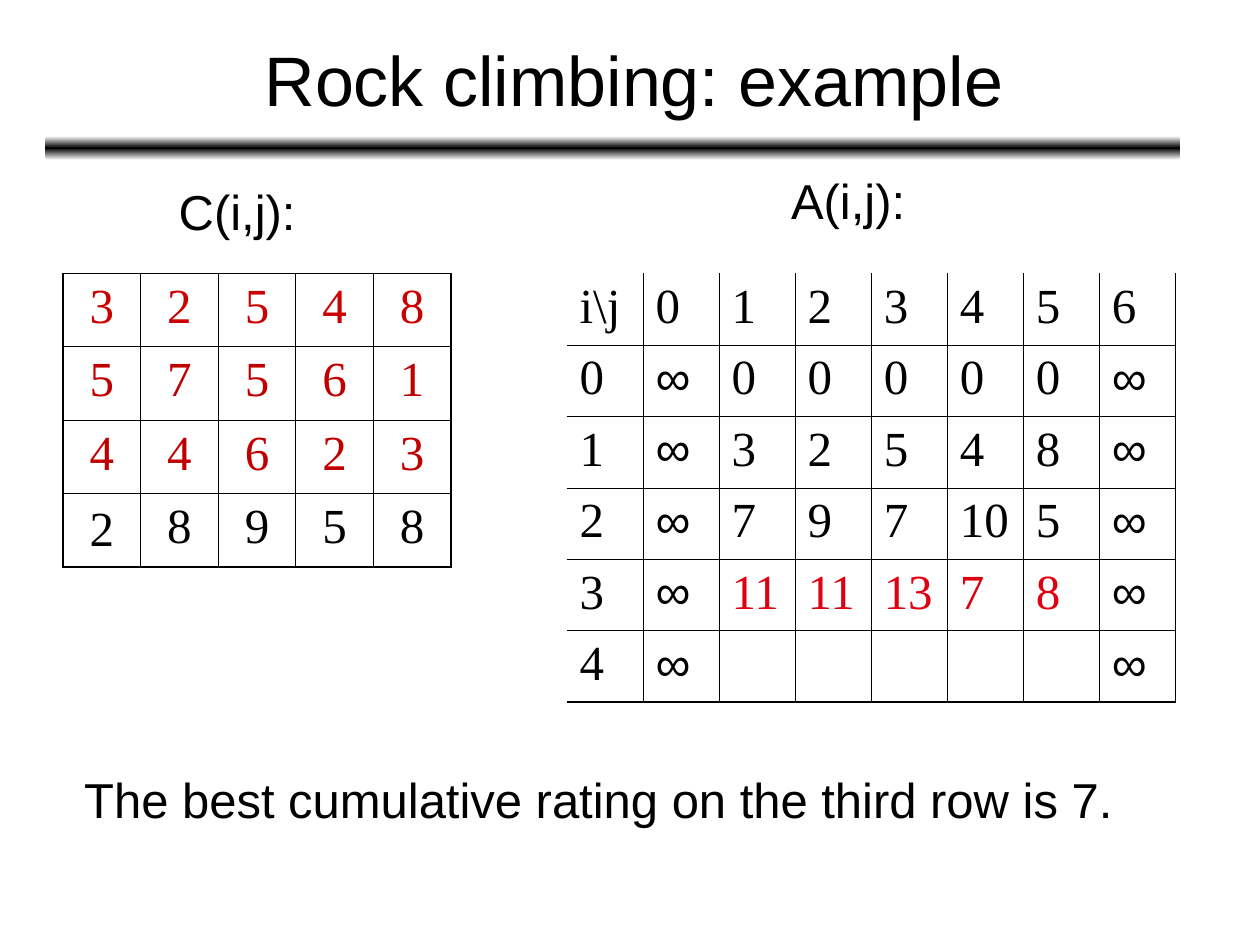
from lxml import etree
from pptx import Presentation
from pptx.dml.color import RGBColor
from pptx.enum import shapes, text
from pptx.oxml import ns
from pptx.util import Inches, Pt

BLACK = RGBColor(0x00, 0x00, 0x00)
WHITE = RGBColor(0xFF, 0xFF, 0xFF)
FIRST_ROW_RED = RGBColor(0xCC, 0x00, 0x00)
DARK_RED = RGBColor(0xC0, 0x00, 0x00)
BRIGHT_RED = RGBColor(0xDD, 0x01, 0x11)
SANS, SERIF = "Arial", "Times New Roman"
THIN, THICK = Pt(0.45), Pt(1.08)

TITLE = "Rock climbing: example"
LABELS = [  # wording, left, top, width
    ("C(i,j):", 1.32, 1.44, 1.15),
    ("A(i,j):", 6.18, 1.36, 1.15),
    ("The best cumulative rating on the third row is 7.", 0.57, 6.11, 8.38),
]
COSTS = [
    ["3", "2", "5", "4", "8"],
    ["5", "7", "5", "6", "1"],
    ["4", "4", "6", "2", "3"],
    ["2", "8", "9", "5", "8"],
]
COST_COLORS = [FIRST_ROW_RED, DARK_RED, DARK_RED, BLACK]
RATINGS = [
    ["i\\j", "0", "1", "2", "3", "4", "5", "6"],
    ["0", "∞", "0", "0", "0", "0", "0", "∞"],
    ["1", "∞", "3", "2", "5", "4", "8", "∞"],
    ["2", "∞", "7", "9", "7", "10", "5", "∞"],
    ["3", "∞", "11", "11", "13", "7", "8", "∞"],
    ["4", "∞", "", "", "", "", "", "∞"],
]
NEWEST_ROW = 4


def add_run(paragraph, wording, font_name, size, color=BLACK):
    run = paragraph.add_run()
    run.text = wording
    run.font.name = font_name
    run.font.size = Pt(size)
    run.font.color.rgb = color


def add_child(parent, tag, **attributes):
    return etree.SubElement(parent, ns.qn(tag), attributes)


def set_borders(cell, widths):
    """Draw the left, right, top and bottom borders; a width of 0 means none."""
    properties = cell._tc.get_or_add_tcPr()
    for side, width in zip("LRTB", widths):
        line = add_child(properties, f"a:ln{side}", w=str(int(width)))
        if width:
            fill = add_child(line, "a:solidFill")
            add_child(fill, "a:srgbClr", val=str(BLACK))
        else:
            add_child(line, "a:noFill")


def add_grid(slide, rows, box, alignment, left_top_width, color_of):
    """Add a ruled table whose left and top outer edges share one width."""
    row_count, column_count = len(rows), len(rows[0])
    left, top, width, height = (Inches(value) for value in box)
    table = slide.shapes.add_table(row_count, column_count, left, top, width, height).table
    table.first_row = table.horz_banding = False
    for i, row in enumerate(rows):
        for j, wording in enumerate(row):
            cell = table.cell(i, j)
            set_borders(cell, (
                left_top_width if j == 0 else THIN,
                THICK if j == column_count - 1 else THIN,
                left_top_width if i == 0 else THIN,
                THICK if i == row_count - 1 else THIN,
            ))
            cell.fill.background()
            if wording:
                paragraph = cell.text_frame.paragraphs[0]
                paragraph.alignment = alignment
                paragraph.space_before = Pt(7)
                font_name = SANS if wording == "∞" else SERIF
                add_run(paragraph, wording, font_name, 28, color_of(i, j))
    return table


def add_title_rule(slide):
    rule = slide.shapes.add_shape(
        shapes.MSO_SHAPE.ROUNDED_RECTANGLE,
        Inches(0.36), Inches(1.08), Inches(9.01), Inches(0.19))
    rule.shadow.inherit = False
    rule.line.fill.background()
    rule.fill.gradient()
    rule.fill.gradient_angle = 90
    stops = rule._element.spPr.find(".//" + ns.qn("a:gsLst"))
    for stop in list(stops):
        stops.remove(stop)
    for position, color in ((0, WHITE), (50, BLACK), (100, WHITE)):
        stop = add_child(stops, "a:gs", pos=str(position * 1000))
        add_child(stop, "a:srgbClr", val=str(color))
    slide.shapes._spTree.insert(2, rule._element)  # behind the title


def add_title(slide):
    title = slide.shapes.title
    title.left, title.top = Inches(0.78), Inches(0)
    title.width, title.height = Inches(8.5), Inches(1.25)
    frame = title.text_frame
    frame.vertical_anchor = text.MSO_ANCHOR.MIDDLE
    paragraph = frame.paragraphs[0]
    paragraph.alignment = text.PP_ALIGN.CENTER
    add_run(paragraph, TITLE, SANS, 40)


def add_label(slide, wording, left, top, width):
    label = slide.shapes.add_textbox(Inches(left), Inches(top), Inches(width), Inches(0.52))
    frame = label.text_frame
    frame.word_wrap = False
    frame.auto_size = text.MSO_AUTO_SIZE.SHAPE_TO_FIT_TEXT
    paragraph = frame.paragraphs[0]
    paragraph.line_spacing = 0.9
    add_run(paragraph, wording, SANS, 28)


def rating_color(i, j):
    return BRIGHT_RED if i == NEWEST_ROW and 2 <= j <= 6 else BLACK


def main():
    presentation = Presentation()
    presentation.slide_width, presentation.slide_height = Inches(10), Inches(7.5)
    slide = presentation.slides.add_slide(presentation.slide_layouts[5])
    add_title_rule(slide)
    add_title(slide)
    costs = add_grid(slide, COSTS, (0.5, 2.17, 3.08, 2.33), text.PP_ALIGN.CENTER,
                     THICK, lambda i, j: COST_COLORS[i])
    costs.cell(len(COSTS) - 1, 0).vertical_anchor = text.MSO_ANCHOR.MIDDLE
    for label in LABELS:
        add_label(slide, *label)
    add_grid(slide, RATINGS, (4.5, 2.17, 4.83, 3.4), text.PP_ALIGN.LEFT, 0, rating_color)
    presentation.save("out.pptx")


if __name__ == "__main__":
    main()
